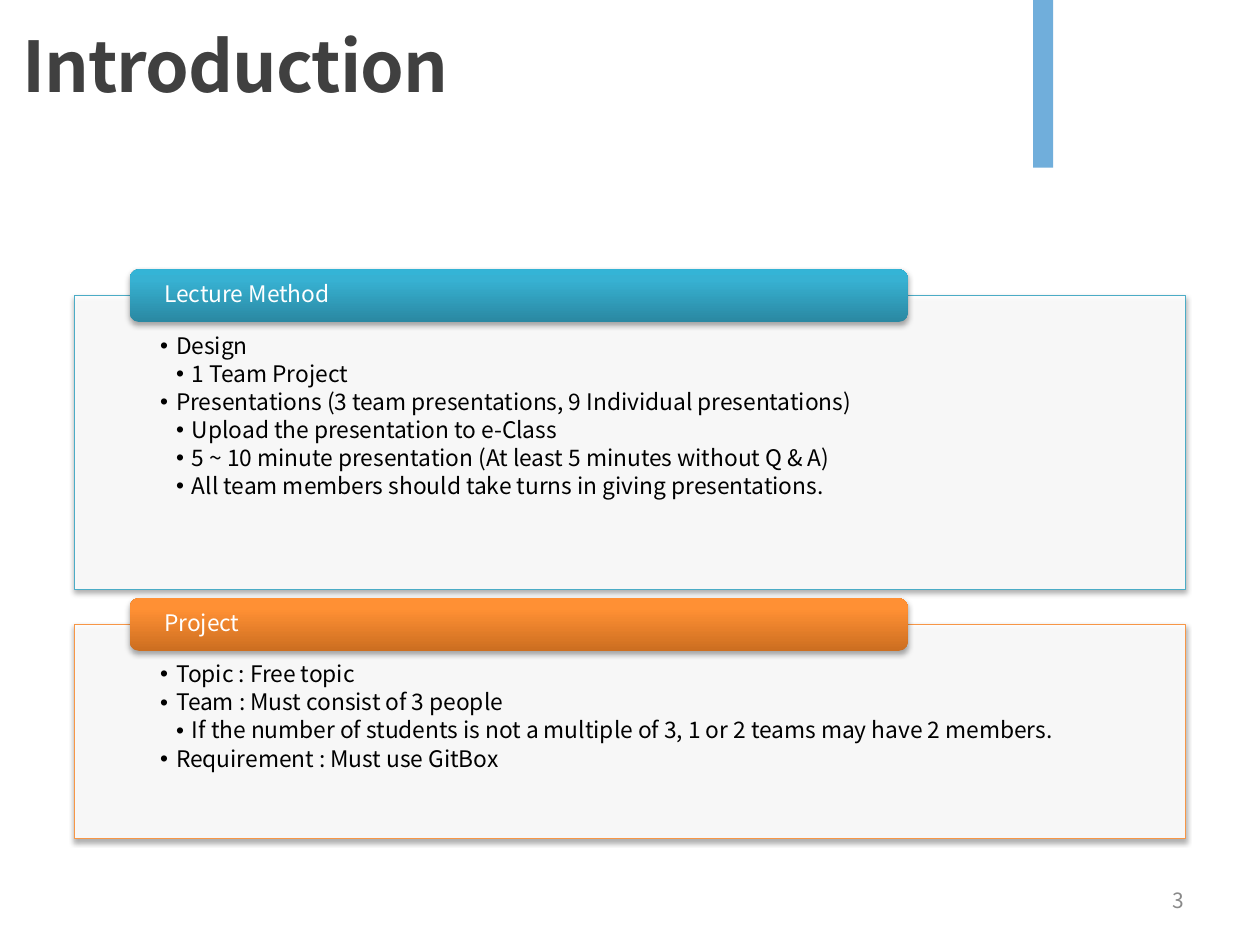
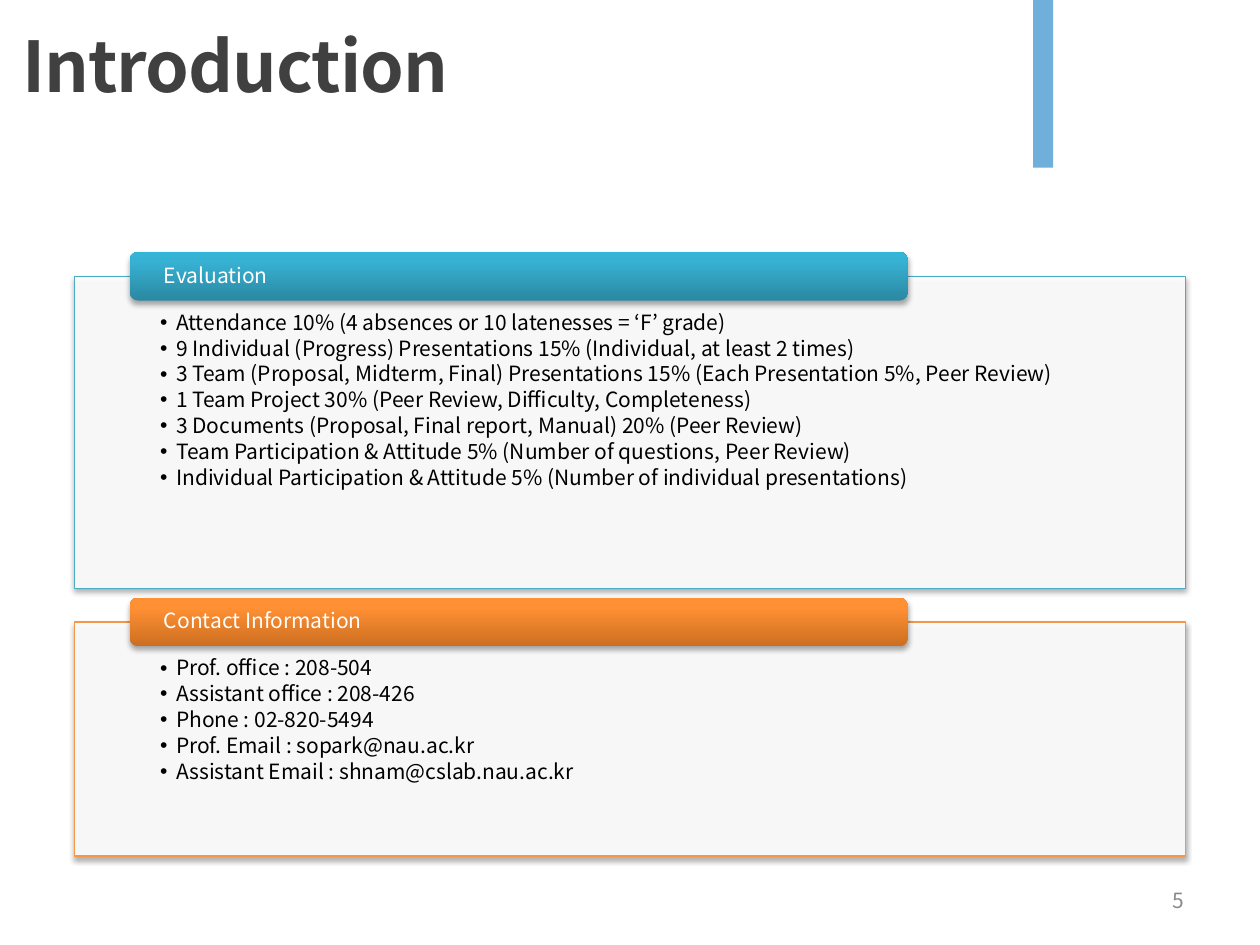
from lxml.etree import SubElement
from pptx import Presentation
from pptx.dml.color import RGBColor
from pptx.enum.shapes import MSO_SHAPE as SHAPE
from pptx.enum.text import MSO_ANCHOR as ANCHOR, MSO_AUTO_SIZE as AUTO, PP_ALIGN as ALIGN
from pptx.oxml.ns import qn
from pptx.util import Cm, Pt

COLORS = {
    "band": "0070C0", "white": "FFFFFF", "text": "000000",
    "title": "404040", "number": "898989", "shadow": "000000",
    "blue": "4BACC6", "orange": "F79646",
}
# Tab gradients run from the bottom edge to the top edge
TAB_STOPS = {
    "blue": ((0, "2A88A2"), (80, "37B1D2"), (100, "34B4D6")),
    "orange": ((0, "CC6E20"), (80, "FF9034"), (100, "FF9136")),
}
FONT = "Noto Sans CJK KR"
PANEL_LEFT, PANEL_WIDTH = 1.5, 22.4
TAB_LEFT, TAB_WIDTH = 2.62, 15.68
PANEL_GAP = 0.18

# Each panel: tab text, accent, height in cm, (level, text) items
SLIDES = [
    {"number": "3", "size": 13, "top": 5.43, "panels": [
        ("Lecture Method", "blue", 5.92, [
            (1, "Design"),
            (2, "1 Team Project"),
            (1, "Presentations (3 team presentations, 9 Individual presentations)"),
            (2, "Upload the presentation to e-Class"),
            (2, "5 ~ 10 minute presentation (At least 5 minutes without Q & A)"),
            (2, "All team members should take turns in giving presentations."),
        ]),
        ("Project", "orange", 4.32, [
            (1, "Topic : Free topic"),
            (1, "Team : Must consist of 3 people"),
            (2, "If the number of students is not a multiple of 3, 1 or 2 teams may have 2 members."),
            (1, "Requirement : Must use GitBox"),
        ]),
    ]},
    {"number": "5", "size": 12, "top": 5.08, "panels": [
        ("Evaluation", "blue", 6.3, [
            (1, "Attendance 10% (4 absences or 10 latenesses = ‘F’ grade)"),
            (1, "9 Individual (Progress) Presentations 15% (Individual, at least 2 times)"),
            (1, "3 Team (Proposal, Midterm, Final) Presentations 15% (Each Presentation 5%, Peer Review)"),
            (1, "1 Team Project 30% (Peer Review, Difficulty, Completeness)"),
            (1, "3 Documents (Proposal, Final report, Manual) 20% (Peer Review)"),
            (1, "Team Participation & Attitude 5% (Number of questions, Peer Review)"),
            (1, "Individual Participation & Attitude 5% (Number of individual presentations)"),
        ]),
        ("Contact Information", "orange", 4.72, [
            (1, "Prof. office : 208-504"),
            (1, "Assistant office : 208-426"),
            (1, "Phone : 02-820-5494"),
            (1, "Prof. Email : sopark@nau.ac.kr"),
            (1, "Assistant Email : shnam@cslab.nau.ac.kr"),
        ]),
    ]},
]


def set_all(obj, values):
    for name, value in values.items():
        setattr(obj, name, value)


def rgb(name):
    return RGBColor.from_string(COLORS[name])


class Deck:
    def __init__(self):
        self.prs = Presentation()
        set_all(self.prs, {"slide_width": Cm(25.4), "slide_height": Cm(19.05)})
        self.s = None

    def new_slide(self):
        self.s = self.prs.slides.add_slide(self.prs.slide_layouts[3])

    # Formatting helpers
    def place(self, sp, left, top, width, height):
        set_all(sp, {"left": Cm(left), "top": Cm(top),
                     "width": Cm(width), "height": Cm(height)})

    def frame(self, sp, anchor, insets):
        tf = sp.text_frame
        set_all(tf, {"word_wrap": True, "auto_size": AUTO.NONE, "vertical_anchor": anchor})
        sides = ("margin_left", "margin_top", "margin_right", "margin_bottom")
        set_all(tf, {side: Cm(inset) for side, inset in zip(sides, insets)})
        return tf

    def add_text(self, p, text, size, color, align=ALIGN.LEFT, bold=False):
        p.alignment = align
        r = p.add_run()
        r.text = text
        set_all(r.font, {"name": FONT, "size": Pt(size), "bold": bold})
        r.font.color.rgb = rgb(color)
        return r

    def box(self, kind, left, top, width, height):
        sp = self.s.shapes.add_shape(kind, Cm(left), Cm(top), Cm(width), Cm(height))
        sp.shadow.inherit = False
        sp.line.fill.background()
        return sp

    def solid(self, sp, color, opacity):
        sp.fill.solid()
        sp.fill.fore_color.rgb = rgb(color)
        clr = sp._element.spPr.find(".//" + qn("a:srgbClr"))
        SubElement(clr, qn("a:alpha"), val=str(opacity * 1000))

    def drop_shadow(self, sp):
        effects = sp._element.spPr.find(qn("a:effectLst"))
        shadow = SubElement(effects, qn("a:outerShdw"), blurRad=str(Pt(3.1)),
                            dist=str(Pt(1.8)), dir="5400000", rotWithShape="0")
        clr = SubElement(shadow, qn("a:srgbClr"), val=COLORS["shadow"])
        SubElement(clr, qn("a:alpha"), val="35000")

    # Slide elements
    def band(self):
        self.solid(self.box(SHAPE.RECTANGLE, 20.83, 0, 0.4, 3.38), "band", 56)

    def title(self, text):
        sp = self.s.shapes.title
        self.place(sp, 0.2, 0.33, 21.5, 1.95)
        tf = self.frame(sp, ANCHOR.TOP, (0.25, 0.13, 0.25, 0.13))
        r = self.add_text(tf.paragraphs[0], text, 40, "title", bold=True)
        r._r.rPr.set("spc", "-50")

    def number(self, text):
        sp = self.s.shapes.add_textbox(Cm(18.2), Cm(17.65), Cm(5.93), Cm(1.01))
        tf = self.frame(sp, ANCHOR.MIDDLE, (0.25, 0.13, 0.25, 0.13))
        self.add_text(tf.paragraphs[0], text, 12, "number", ALIGN.RIGHT)

    def panel(self, top, height, accent):
        sp = self.box(SHAPE.RECTANGLE, PANEL_LEFT, top, PANEL_WIDTH, height)
        self.solid(sp, "white", 90)
        sp.line.color.rgb = rgb(accent)
        sp.line.width = Pt(0.75)
        self.drop_shadow(sp)

    def bullets(self, sp, top, height, items, size):
        self.place(sp, PANEL_LEFT, top, PANEL_WIDTH, height)
        self.s.shapes._spTree.append(sp._element)  # lists lie above their panel
        tf = self.frame(sp, ANCHOR.TOP, (1.73, 0.06 * size, 0.6, 0.24))
        for i, (level, text) in enumerate(items):
            p = tf.add_paragraph() if i else tf.paragraphs[0]
            set_all(p, {"level": level, "line_spacing": 0.9,
                        "space_before": Pt(0), "space_after": Pt(0)})
            self.add_text(p, text, size, "text")
            pPr = p._p.pPr
            pPr.set("marL", str(Cm(0.32 * level)))
            pPr.set("indent", str(-Cm(0.32)))
            after = pPr.find(qn("a:spcAft"))
            after.clear()
            SubElement(after, qn("a:spcPct"), val="15000")
            SubElement(pPr, qn("a:buChar"), char="•")

    def tab(self, top, height, text, accent, size):
        sp = self.box(SHAPE.ROUNDED_RECTANGLE, TAB_LEFT, top, TAB_WIDTH, height)
        sp.fill.gradient()
        sp.fill.gradient_angle = 90
        stops = sp._element.spPr.find(".//" + qn("a:gsLst"))
        stops.clear()
        for pos, color in TAB_STOPS[accent]:
            gs = SubElement(stops, qn("a:gs"), pos=str(pos * 1000))
            SubElement(gs, qn("a:srgbClr"), val=color)
        self.drop_shadow(sp)
        p = self.frame(sp, ANCHOR.MIDDLE, (0.64, 0, 0.64, 0)).paragraphs[0]
        p.line_spacing = 0.9
        self.add_text(p, text, size, "white")


def main():
    deck = Deck()
    for data in SLIDES:
        deck.new_slide()
        deck.band()
        size, top = data["size"], data["top"]
        tab_height = 0.08 * size + 0.02
        lists = [ph for ph in deck.s.placeholders if ph.placeholder_format.idx in (1, 2)]
        # Each tab straddles the top edge of its panel
        for body, (heading, accent, height, items) in zip(lists, data["panels"]):
            panel_top = top + tab_height / 2
            deck.panel(panel_top, height, accent)
            deck.bullets(body, panel_top, height, items, size)
            deck.tab(top, tab_height, heading, accent, size)
            top = panel_top + height + PANEL_GAP
        deck.number(data["number"])
        deck.title("Introduction")
    deck.prs.save("out.pptx")


if __name__ == "__main__":
    main()
